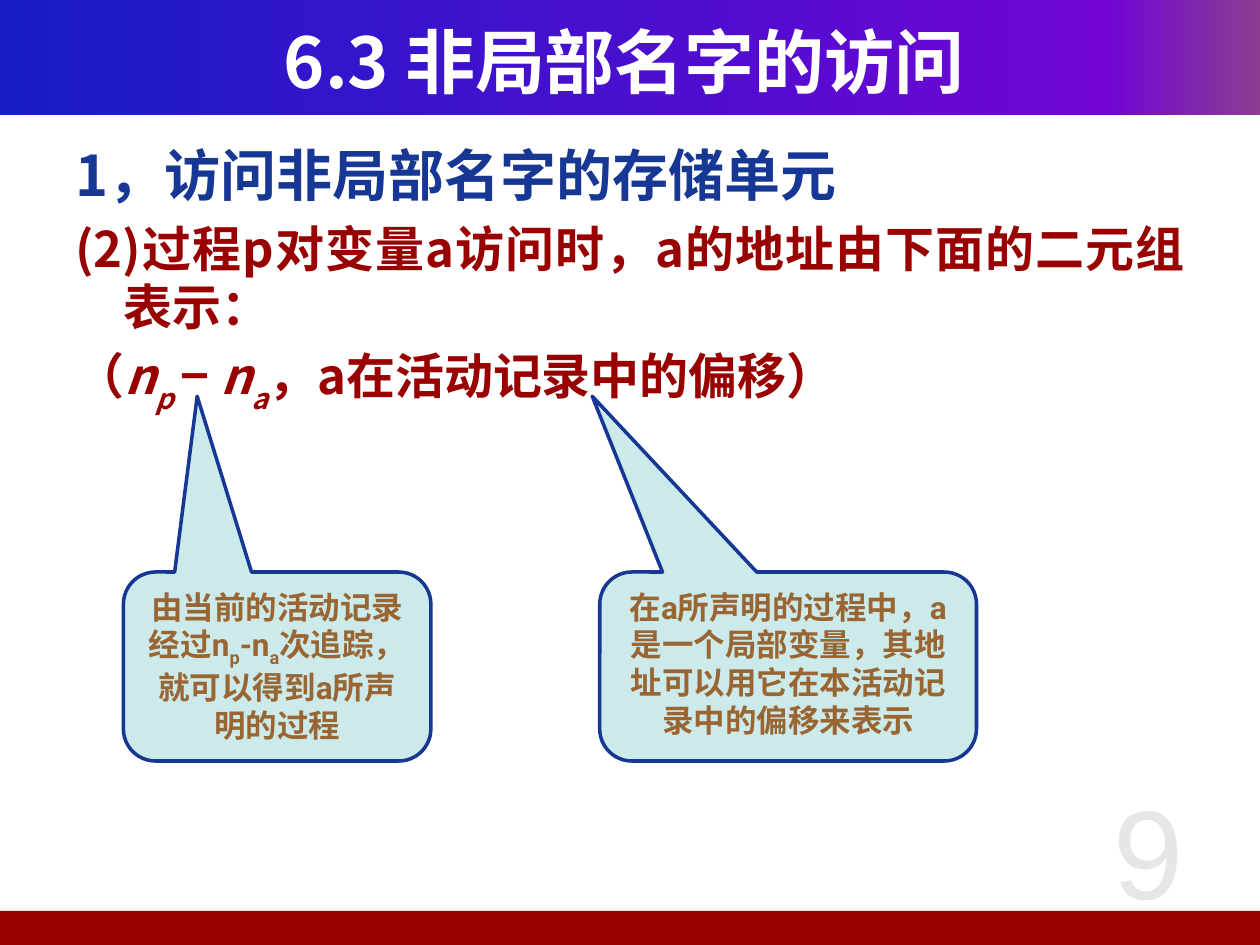
"""Build the slide on accessing non-local names."""
import pptx
import pptx.util
import pptx.dml.color
import pptx.enum.shapes
import pptx.enum.text
import pptx.oxml
import pptx.oxml.ns

Inches, Pt = pptx.util.Inches, pptx.util.Pt
RGBColor = pptx.dml.color.RGBColor
SHAPE = pptx.enum.shapes.MSO_SHAPE
ALIGN = pptx.enum.text.PP_ALIGN
ANCHOR = pptx.enum.text.MSO_ANCHOR
qn = pptx.oxml.ns.qn

WHITE = RGBColor(0xFF, 0xFF, 0xFF)
NAVY = RGBColor(0x16, 0x37, 0x94)
RED = RGBColor(0x99, 0x00, 0x00)
TEAL = RGBColor(0x00, 0x99, 0x99)
BROWN = RGBColor(0x99, 0x66, 0x33)
GREY = RGBColor(0xE6, 0xE6, 0xE6)
BAND_STOPS = [(0, RGBColor(0x18, 0x1C, 0xC7)), (88, RGBColor(0x70, 0x05, 0xD4)),
              (100, RGBColor(0x8C, 0x3D, 0x91))]
CJK, LATIN, NUMBER = "Noto Sans CJK SC", "Roboto", "Arial"

W, H = 10, 7.5
TITLE = "6.3 非局部名字的访问"
PAGE = "9"
# Each run is (text, italic, baseline shift in percent).
BODY = [
    (32, NAVY, [("1，访问非局部名字的存储单元", False, 0)]),
    (28, RED, [("(2)过程p对变量a访问时，a的地址由下面的二元组表示：", False, 0)]),
    (28, RED, [("（", False, 0), ("n", True, 0), ("p ", True, -30), ("− ", False, 0),
               ("n", True, 0), ("a", True, -30), ("，a在活动记录中的偏移）", False, 0)]),
]
CALLOUTS = [
    (0.98, 2.44, (-0.26, -1.43, 0.17),
     [("由当前的活动记录经过n", False, 0), ("p", False, -25), ("-n", False, 0),
      ("a", False, -25), ("次追踪，就可以得到a所声明的过程", False, 0)]),
    (4.76, 2.99, (-0.52, -1.43, 0.17),
     [("在a所声明的过程中，a是一个局部变量，其地址可以用它在本活动记录中的偏移来表示",
       False, 0)]),
]
CALLOUT_TOP, CALLOUT_HEIGHT = 4.54, 1.5


def box(*lengths):
    return [Inches(v) for v in lengths]


def add_runs(p, runs, size, font, color, bold=True):
    for text, italic, shift in runs:
        r = p.add_run()
        r.text = text
        f = r.font
        f.size, f.name, f.bold, f.italic = Pt(size), font, bold, italic
        f.color.rgb = color
        rpr = r._r.get_or_add_rPr()
        if shift:
            rpr.set("baseline", str(shift * 1000))
        if font == CJK:
            ea = pptx.oxml.parse_xml(f'<a:ea {pptx.oxml.ns.nsdecls("a")} typeface="{font}"/>')
            rpr.find(qn("a:latin")).addnext(ea)


def add_shape(s, kind, place, color):
    sp = s.shapes.add_shape(kind, *box(*place))
    sp.shadow.inherit = False
    sp.fill.solid()
    sp.fill.fore_color.rgb = color
    sp.line.fill.background()
    return sp


def add_band(s):
    sp = add_shape(s, SHAPE.RECTANGLE, (0, 0, W, 0.91), NAVY)
    stops = "".join(f'<a:gs pos="{pos * 1000}"><a:srgbClr val="{color}"/></a:gs>'
                    for pos, color in BAND_STOPS)
    grad = pptx.oxml.parse_xml(
        f'<a:gradFill {pptx.oxml.ns.nsdecls("a")}><a:gsLst>{stops}</a:gsLst>'
        '<a:lin ang="0" scaled="0"/></a:gradFill>')
    sppr = sp._element.spPr
    sppr.replace(sppr.find(qn("a:solidFill")), grad)


def add_title(s):
    sp = s.shapes.title
    s.shapes._spTree.append(sp._element)
    sp.left, sp.top, sp.width, sp.height = box(0.33, 0.17, 9.25, 0.62)
    tf = sp.text_frame
    tf.vertical_anchor = ANCHOR.MIDDLE
    p = tf.paragraphs[0]
    p.alignment = ALIGN.CENTER
    add_runs(p, [(TITLE, False, 0)], 40, CJK, WHITE)


def add_body(s):
    tf = s.shapes.add_textbox(*box(0.5, 1.07, 9, 5.74)).text_frame
    tf.word_wrap = True
    for i, (size, color, runs) in enumerate(BODY):
        p = tf.add_paragraph() if i else tf.paragraphs[0]
        p.alignment = ALIGN.JUSTIFY
        p.space_before = Pt(round(size * 0.2, 1))
        ppr = p._p.get_or_add_pPr()
        ppr.set("marL", str(Inches(0.38)))
        ppr.set("indent", str(-Inches(0.38)))
        add_runs(p, runs, size, CJK, color)


def add_page_number(s):
    tf = s.shapes.add_textbox(*box(8.23, 6.03, 1.77, 1.42)).text_frame
    tf.word_wrap = True
    tf.vertical_anchor = ANCHOR.MIDDLE
    p = tf.paragraphs[0]
    p.alignment = ALIGN.CENTER
    add_runs(p, [(PAGE, False, 0)], 72, NUMBER, GREY, bold=False)


def add_callout(s, left, width, adjustments, runs):
    sp = add_shape(s, SHAPE.ROUNDED_RECTANGULAR_CALLOUT,
                   (left, CALLOUT_TOP, width, CALLOUT_HEIGHT), TEAL)
    for i, value in enumerate(adjustments):
        sp.adjustments[i] = value
    clr = sp._element.spPr.find(qn("a:solidFill")).find(qn("a:srgbClr"))
    clr.append(pptx.oxml.parse_xml(f'<a:alpha {pptx.oxml.ns.nsdecls("a")} val="20000"/>'))
    sp.line.color.rgb = NAVY
    sp.line.width = Pt(2)
    tf = sp.text_frame
    tf.word_wrap = True
    tf.vertical_anchor = ANCHOR.TOP
    p = tf.paragraphs[0]
    p.alignment = ALIGN.CENTER
    add_runs(p, runs, 18, LATIN, BROWN)


def main():
    prs = pptx.Presentation()
    prs.slide_width, prs.slide_height = box(W, H)
    s = prs.slides.add_slide(prs.slide_layouts[5])
    add_band(s)
    add_shape(s, SHAPE.RECTANGLE, (-0.04, 7.23, 10.04, 0.27), RED)
    add_title(s)
    add_body(s)
    add_page_number(s)
    for callout in CALLOUTS:
        add_callout(s, *callout)
    prs.save("out.pptx")


if __name__ == "__main__":
    main()
